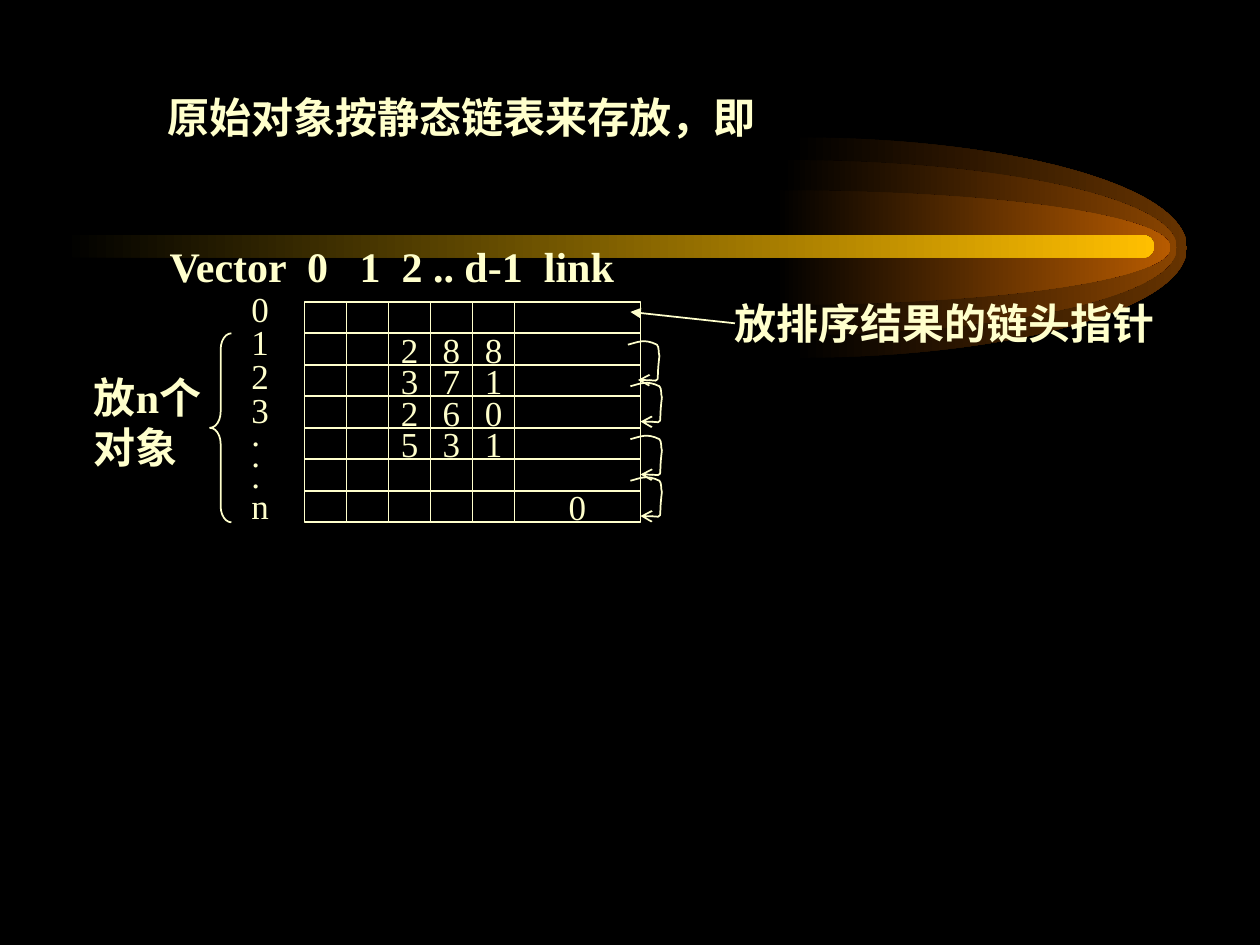
from dataclasses import dataclass
from itertools import accumulate

from lxml.etree import SubElement
from pptx import Presentation
from pptx.dml.color import RGBColor
from pptx.enum.shapes import MSO_CONNECTOR, MSO_SHAPE
from pptx.enum.text import MSO_ANCHOR, MSO_AUTO_SIZE, PP_ALIGN
from pptx.oxml.ns import qn
from pptx.util import Inches, Pt


@dataclass(frozen=True)
class Theme:
    background: str = "000000"
    ink: str = "FFFFCC"
    bar: str = "FFBF00"
    glows: tuple = ("663300", "894400", "B75B00")
    font: str = "Times New Roman"
    heading_size: int = 24
    cell_size: int = 20
    line_width: int = 1


THEME = Theme()
ROWS = ["", "  288", "  371", "  260", "  531", "", "     0"]
COLUMN_WIDTHS = [1 / 3] * 5 + [1]
ROW_HEIGHT = 0.25
GRID_LEFT = 2 + 5 / 12
GRID_TOP = 2 + 19 / 48
LINK_CURVE = [
    (0, 0.05), (0.08, 0.03), (0.13, 0), (0.23, 0.05),
    (0.25, 0.07), (0.24, 0.11), (0.25, 0.14),
    (0.22, 0.37), (0.29, 0.33), (0.08, 0.33),
]
GLOW_CURVE = [
    (0, 0), (0.55, 0), (1, 0.22), (1, 0.5),
    (1, 0.78), (0.55, 1), (0, 1),
]


def color(value):
    return RGBColor.from_string(value)


def write_text(shape, text, size=THEME.heading_size, bold=False, align=PP_ALIGN.LEFT,
               anchor=MSO_ANCHOR.TOP, spacings=None, auto_size=MSO_AUTO_SIZE.NONE):
    frame = shape.text_frame
    frame.word_wrap = False
    frame.auto_size = auto_size
    frame.vertical_anchor = anchor
    frame.text = text
    for index, paragraph in enumerate(frame.paragraphs):
        paragraph.alignment = align
        if spacings:
            paragraph.line_spacing = spacings[index]
        font = paragraph.font
        font.name, font.size, font.bold = THEME.font, Pt(size), bold
        font.color.rgb = color(THEME.ink)


def add_label(slide, box, text, **text_format):
    shape = slide.shapes.add_textbox(*map(Inches, box))
    write_text(shape, text, auto_size=MSO_AUTO_SIZE.SHAPE_TO_FIT_TEXT, **text_format)


def set_outline(shape, arrowhead=None):
    shape.line.color.rgb = color(THEME.ink)
    shape.line.width = Pt(THEME.line_width)
    if arrowhead:
        SubElement(shape.line._get_or_add_ln(), qn("a:tailEnd"), type=arrowhead)


def add_outlined_shape(slide, kind, box):
    shape = slide.shapes.add_shape(kind, *map(Inches, box))
    shape.shadow.inherit = False
    shape.fill.background()
    set_outline(shape)
    return shape


def add_curve(slide, curve, hub=None):
    corners = [(Inches(x), Inches(y)) for x, y in curve + ([hub] if hub else [])]
    builder = slide.shapes.build_freeform(*corners[0])
    builder.add_line_segments(corners[1:], close=hub is not None)
    shape = builder.convert_to_shape()
    shape.shadow.inherit = False
    segments = list(shape._element.iter(qn("a:lnTo")))[:len(curve) - 1]
    for index in range(0, len(segments), 3):
        bezier = SubElement(segments[index].getparent(), qn("a:cubicBezTo"))
        segments[index].addprevious(bezier)
        for segment in segments[index:index + 3]:
            bezier.append(segment[0])
            segment.getparent().remove(segment)
    return shape


def fade_from_background(shape, end_color):
    shape.fill.gradient()
    shape.fill.gradient_angle = 0
    for stop, value in zip(shape.fill.gradient_stops, (THEME.background, end_color)):
        stop.color.rgb = color(value)
    shape.line.fill.background()


def add_glow(slide, box, end_color):
    left, top, width, height = box
    curve = [(left + width * x, top + height * y) for x, y in GLOW_CURVE]
    glow = add_curve(slide, curve, hub=(left, top + height / 2))
    fade_from_background(glow, end_color)


def add_comet(slide, box):
    left, top, width, height = box
    middle = top + height / 2
    glow_sizes = ((5.79, 1.75), (5.71, 1.39), (5.66, 0.91))
    for (offset, glow_height), end_color in zip(glow_sizes, THEME.glows):
        glow_box = (left + offset, middle - glow_height / 2, 3.13, glow_height)
        add_glow(slide, glow_box, end_color)
    bar = slide.shapes.add_shape(
        MSO_SHAPE.ROUNDED_RECTANGLE, *map(Inches, (left, middle - 0.1, 8.66, 0.18)))
    bar.adjustments[0] = 0.5
    bar.shadow.inherit = False
    fade_from_background(bar, THEME.bar)


def add_title(slide, box):
    title = slide.shapes.title
    title.left, title.top, title.width, title.height = map(Inches, box)
    write_text(title, "原始对象按静态链表来存放，即", bold=True)


def add_cells(slide, box):
    left, top = box[:2]
    offsets = accumulate(COLUMN_WIDTHS[:-1], initial=0)
    columns = list(zip(offsets, COLUMN_WIDTHS))
    for row, values in enumerate(ROWS):
        for (offset, width), value in zip(columns, values.ljust(len(columns))):
            cell_box = (left + offset, top + row * ROW_HEIGHT, width, ROW_HEIGHT)
            cell = add_outlined_shape(slide, MSO_SHAPE.RECTANGLE, cell_box)
            if value.strip():
                write_text(cell, value, size=THEME.cell_size,
                           align=PP_ALIGN.CENTER, anchor=MSO_ANCHOR.MIDDLE)


def add_link_arrow(slide, left, top):
    arrow = add_curve(slide, [(left + x, top + y) for x, y in LINK_CURVE])
    arrow.fill.background()
    set_outline(arrow, arrowhead="arrow")


def add_pointer(slide, start, end):
    pointer = slide.shapes.add_connector(
        MSO_CONNECTOR.STRAIGHT, *map(Inches, start + end))
    set_outline(pointer, arrowhead="triangle")
    SubElement(pointer._element.spPr, qn("a:effectLst"))


def add_linked_list(slide, box):
    left, top, width, height = box
    right = left + width
    add_cells(slide, box)
    add_label(slide, (left - 1.17, top - 0.54, 3.85, 0.5),
              "Vector  0   1  2 .. d-1  link", bold=True)
    add_label(slide, (left - 0.52, top - 0.1, 0.34, 1.94), "0\n1\n2\n3\n.\n.\n.\nn",
              size=THEME.cell_size, spacings=[0.8] * 4 + [0.5] * 3 + [0.8])
    for offset, drop in ((-0.1, 0.29), (-0.08, 0.62), (-0.08, 1.04), (-0.08, 1.37)):
        add_link_arrow(slide, right + offset, top + drop)
    add_label(slide, (right + 0.65, top - 0.08, 3.53, 0.5),
              "放排序结果的链头指针", bold=True)
    add_pointer(slide, (right + 0.75, top + 0.17), (right - 0.08, top + 0.08))
    brace = add_outlined_shape(
        slide, MSO_SHAPE.LEFT_BRACE,
        (left - 0.75, top + ROW_HEIGHT, 0.17, height - ROW_HEIGHT))
    brace.adjustments[0] = 0.75
    add_label(slide, (left - 1.77, top + 0.5, 1.21, 0.9), "放n个\n对象", bold=True)


def main():
    presentation = Presentation()
    presentation.slide_width, presentation.slide_height = Inches(10), Inches(7.5)
    slide = presentation.slides.add_slide(presentation.slide_layouts[5])
    slide.background.fill.solid()
    slide.background.fill.fore_color.rgb = color(THEME.background)
    add_comet(slide, (0.5, 1.09, 8.92, 1.75))
    add_title(slide, (1.23, 0.68, 4.9, 0.5))
    grid_size = (sum(COLUMN_WIDTHS), len(ROWS) * ROW_HEIGHT)
    add_linked_list(slide, (GRID_LEFT, GRID_TOP) + grid_size)
    presentation.save("out.pptx")


if __name__ == "__main__":
    main()
